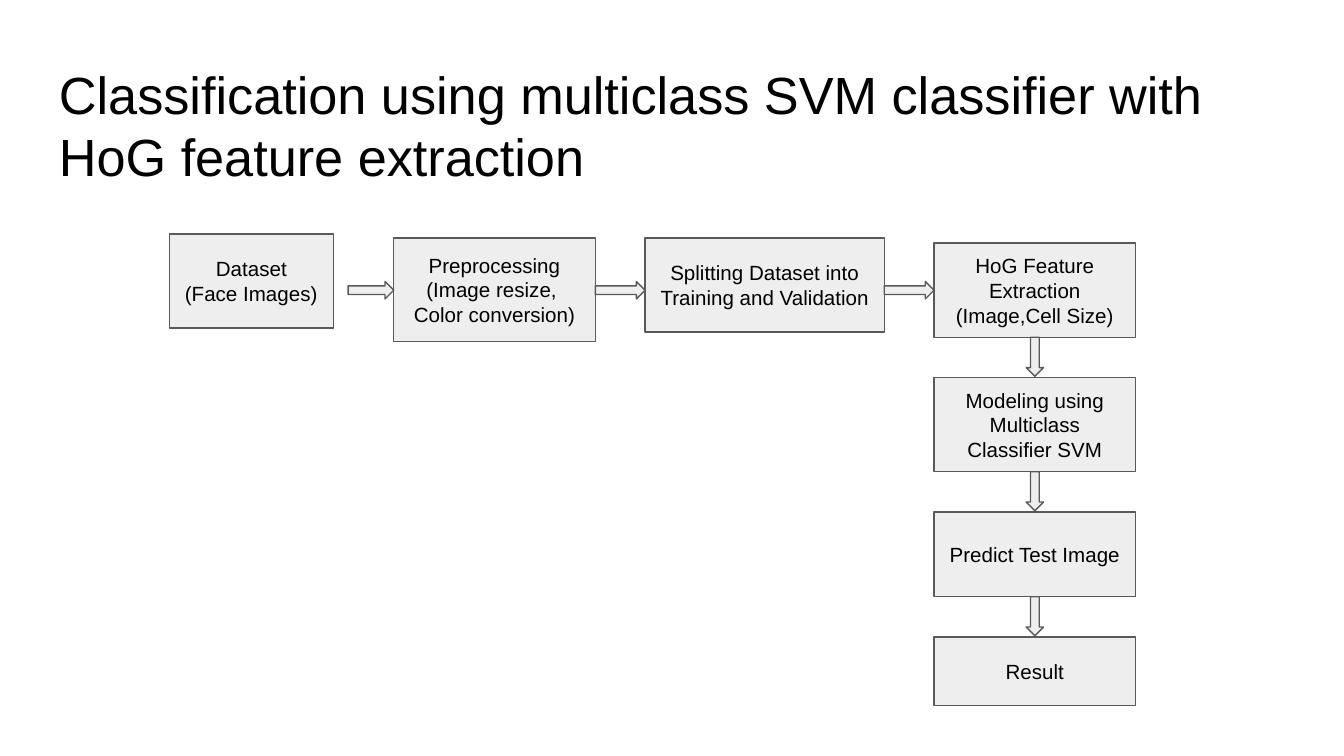
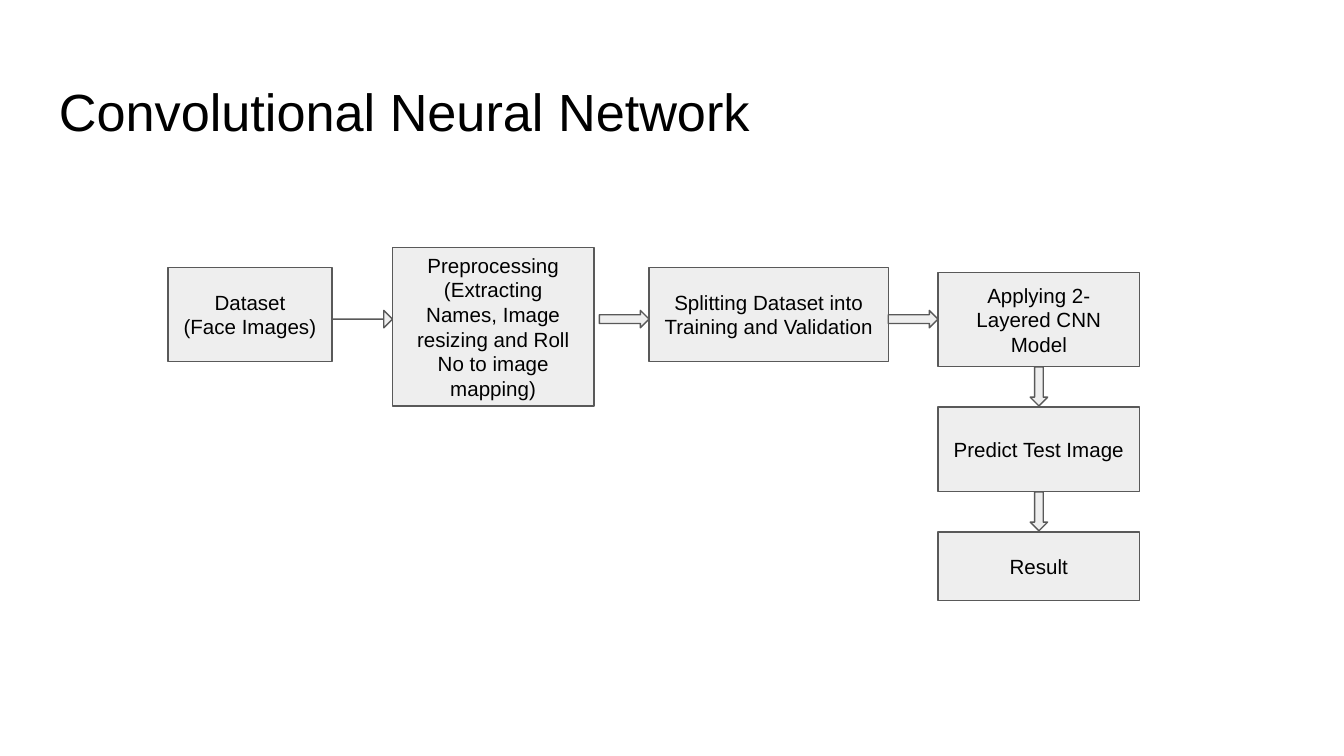
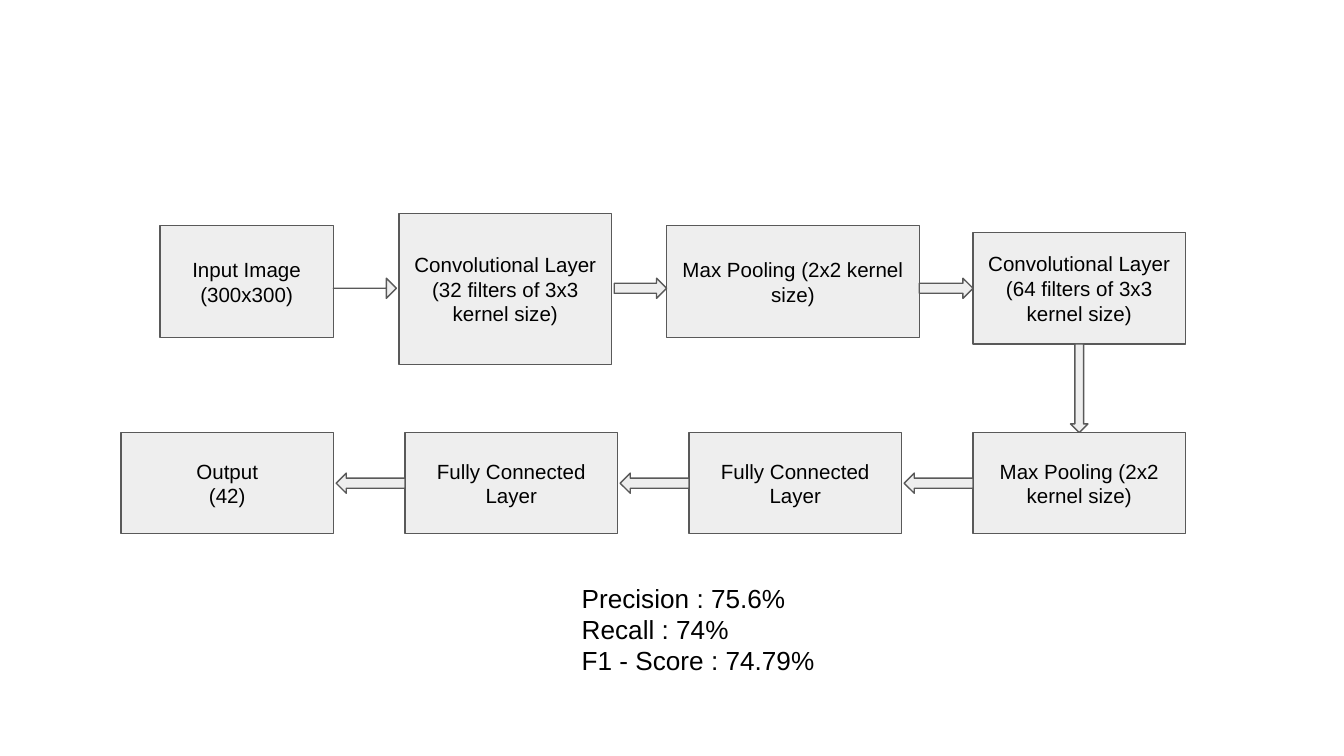
from pptx import Presentation
from pptx.dml.color import RGBColor
from pptx.enum.shapes import MSO_SHAPE
from pptx.enum.text import MSO_ANCHOR, PP_ALIGN
from pptx.util import Inches, Pt

RECT, ARROW = MSO_SHAPE.RECTANGLE, MSO_SHAPE.RIGHT_ARROW
TOP, MIDDLE = MSO_ANCHOR.TOP, MSO_ANCHOR.MIDDLE
LEFT, CENTER, JUSTIFY = PP_ALIGN.LEFT, PP_ALIGN.CENTER, PP_ALIGN.JUSTIFY

WIDE, HIGH = Inches(10), Inches(5.625)
COLS, ROWS = 100, 56.25
FONT = "Arial"
COLORS = {"ink": "000000", "fill": "EEEEEE", "edge": "595959"}
PAD = Inches(0.1)
STEP = 3  # rows between stacked boxes
DROP = 2.9  # length of the arrow that joins them


def color(name):
    return RGBColor.from_string(COLORS[name])


def write(shape, text, size=11, align=CENTER, anchor=MIDDLE):
    """Fill a shape with text, one paragraph per line."""
    frame = shape.text_frame
    frame.word_wrap = True
    frame.vertical_anchor = anchor
    frame.margin_left = frame.margin_right = PAD
    frame.margin_top = frame.margin_bottom = PAD
    for i, line in enumerate(text.split("\n")):
        para = frame.paragraphs[0] if i == 0 else frame.add_paragraph()
        para.alignment = align
        run = para.add_run()
        run.text = line
        run.font.name, run.font.size = FONT, Pt(size)
        run.font.color.rgb = color("ink")


class Deck:
    def __init__(self):
        self.file = Presentation()
        self.file.slide_width, self.file.slide_height = WIDE, HIGH
        self.slide = None

    def page(self):
        self.slide = self.file.slides.add_slide(self.file.slide_layouts[6])

    def place(self, x, y, w, h):
        """Turn columns and rows into lengths."""
        return [round(v) for v in (x * WIDE / COLS, y * HIGH / ROWS,
                                   w * WIDE / COLS, h * HIGH / ROWS)]

    def label(self, text, spot, **style):
        box = self.slide.shapes.add_textbox(*self.place(*spot))
        write(box, text, anchor=TOP, **style)

    def title(self, text, y, h):
        self.label(text, (3.4, y, 93.2, h), size=28, align=LEFT)

    def form(self, kind, spot):
        shape = self.slide.shapes.add_shape(kind, *self.place(*spot))
        shape.shadow.inherit = False
        shape.fill.solid()
        shape.fill.fore_color.rgb = color("fill")
        shape.line.color.rgb = color("edge")
        shape.line.width = Pt(0.75)
        return shape

    def box(self, text, *spot):
        write(self.form(RECT, spot), text)
        return spot

    def arrow(self, mid_x, mid_y, length, thick=1.3, turn=0, thin=False):
        shape = self.form(ARROW, (mid_x - length / 2, mid_y - thick / 2,
                                  length, thick))
        shape.rotation = turn
        if thin:
            shape.adjustments[0] = 0

    def across(self, a, b, mid_y, start=0, stop=0, **style):
        """Join two boxes of a row, leaving gaps at start and stop."""
        left, right = a[0] + a[2] + start, b[0] - stop
        self.arrow((left + right) / 2, mid_y, right - left, **style)

    def down(self, box, length=DROP):
        x, y, w, h = box
        self.arrow(x + w / 2, y + h + length / 2, length, turn=90)

    def stack(self, x, y, w, items):
        """Stack boxes in a column and return the first one."""
        boxes = []
        for text, h in items:
            if boxes:
                self.down(boxes[-1])
            boxes.append(self.box(text, x, y, w, h))
            y += h + STEP
        return boxes[0]


DATA = "Dataset\n(Face Images)"
SPLIT = "Splitting Dataset into Training and Validation"
LAST = [("Predict Test Image", 6.3), ("Result", 5.1)]


def svm(deck):
    deck.page()
    deck.title("Classification using multiclass SVM classifier with "
               "HoG feature extraction", 3.6, 10.3)
    data = deck.box(DATA, 12.6, 17.4, 12.2, 7)
    prep = deck.box("Preprocessing\n(Image resize, \nColor conversion)",
                    29.3, 17.7, 15, 7.7)
    split = deck.box(SPLIT, 48, 17.7, 17.8, 7)
    hog = deck.stack(69.5, 18.1, 15, [
        ("HoG Feature Extraction\n(Image,Cell Size)", 7),
        ("Modeling using\nMulticlass Classifier SVM", 7)] + LAST)
    mid = 21.6
    deck.across(data, prep, mid, start=1.1)
    deck.across(prep, split, mid)
    deck.across(split, hog, mid)


def cnn(deck):
    deck.page()
    deck.title("Convolutional Neural Network", 4.9, 6.3)
    data = deck.box(DATA, 12.5, 19.9, 12.2, 7)
    prep = deck.box("Preprocessing (Extracting Names, Image resizing and "
                    "Roll No to image mapping)", 29.2, 18.4, 15, 11.8)
    split = deck.box(SPLIT, 48.3, 19.9, 17.8, 7)
    model = deck.stack(69.8, 20.3, 15,
                       [("Applying 2-Layered CNN Model", 7)] + LAST)
    mid = 23.75
    deck.across(data, prep, mid, thin=True)
    deck.across(prep, split, mid, start=0.4)
    deck.across(split, model, mid)


def layers(deck):
    deck.page()
    # Upper row, left to right
    conv = "Convolutional Layer ({} filters of 3x3 kernel size)"
    pool = "Max Pooling (2x2 kernel size)"
    image = deck.box("Input Image (300x300)", 11.9, 16.8, 12.9, 8.3)
    first = deck.box(conv.format(32), 29.7, 15.9, 15.8, 11.2)
    small = deck.box(pool, 49.6, 16.8, 18.8, 8.3)
    second = deck.box(conv.format(64), 72.4, 17.3, 15.8, 8.3)
    mid = 21.45
    deck.across(image, first, mid, stop=0.2, thick=1.5, thin=True)
    deck.across(first, small, mid, start=0.2, thick=1.5)
    deck.across(small, second, mid, thick=1.5)
    deck.down(second, 6.6)

    # Lower row, right to left
    names = [pool] + ["Fully Connected Layer"] * 2 + ["Output\n(42)"]
    y, w, h = 32.2, 15.8, 7.5
    boxes = [deck.box(name, 72.4 - 21.13 * i, y, w, h)
             for i, name in enumerate(names)]
    for right, left in zip(boxes, boxes[1:]):
        deck.across(left, right, y + h / 2, start=0.2, thick=1.5, turn=180)

    # Scores
    deck.label("Precision : 75.6%\nRecall : 74%\nF1 - Score : 74.79%",
               (42.3, 42.3, 42, 5.8), size=14, align=JUSTIFY)


def main():
    deck = Deck()
    for build in (svm, cnn, layers):
        build(deck)
    deck.file.save("out.pptx")


if __name__ == "__main__":
    main()
